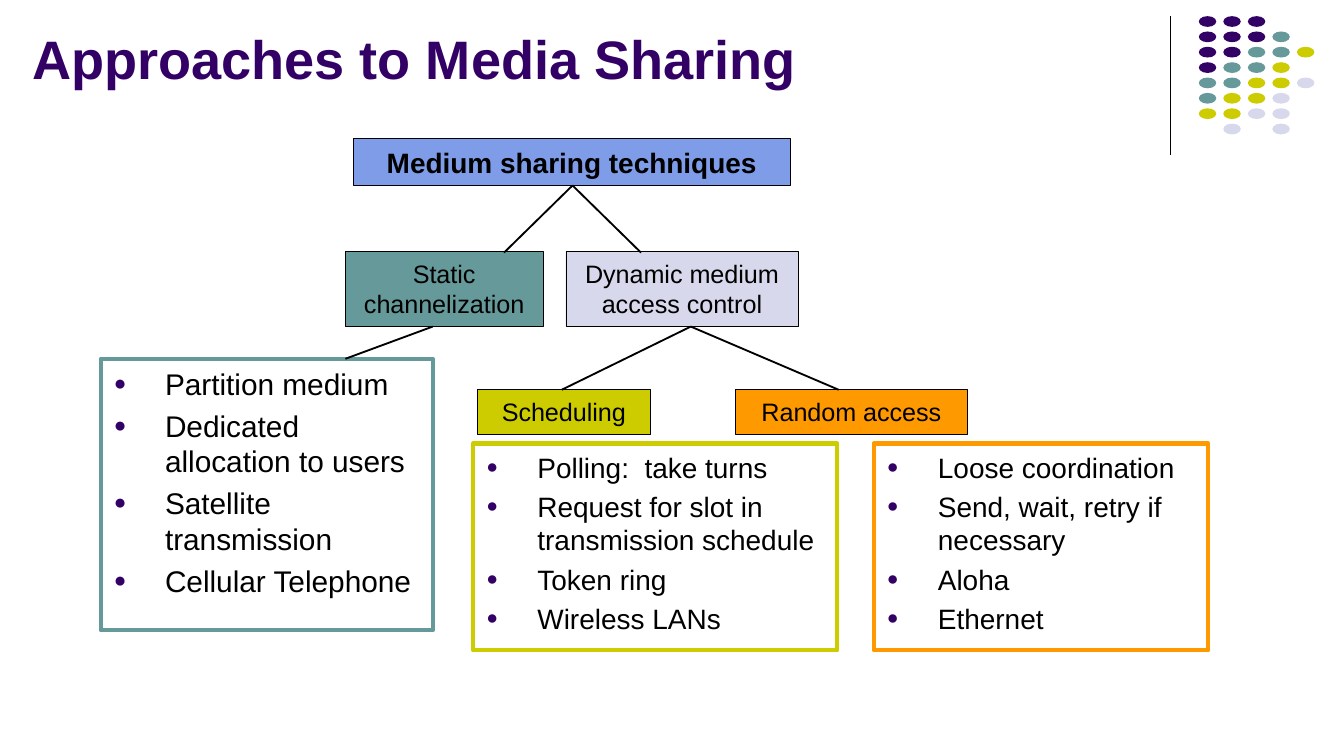
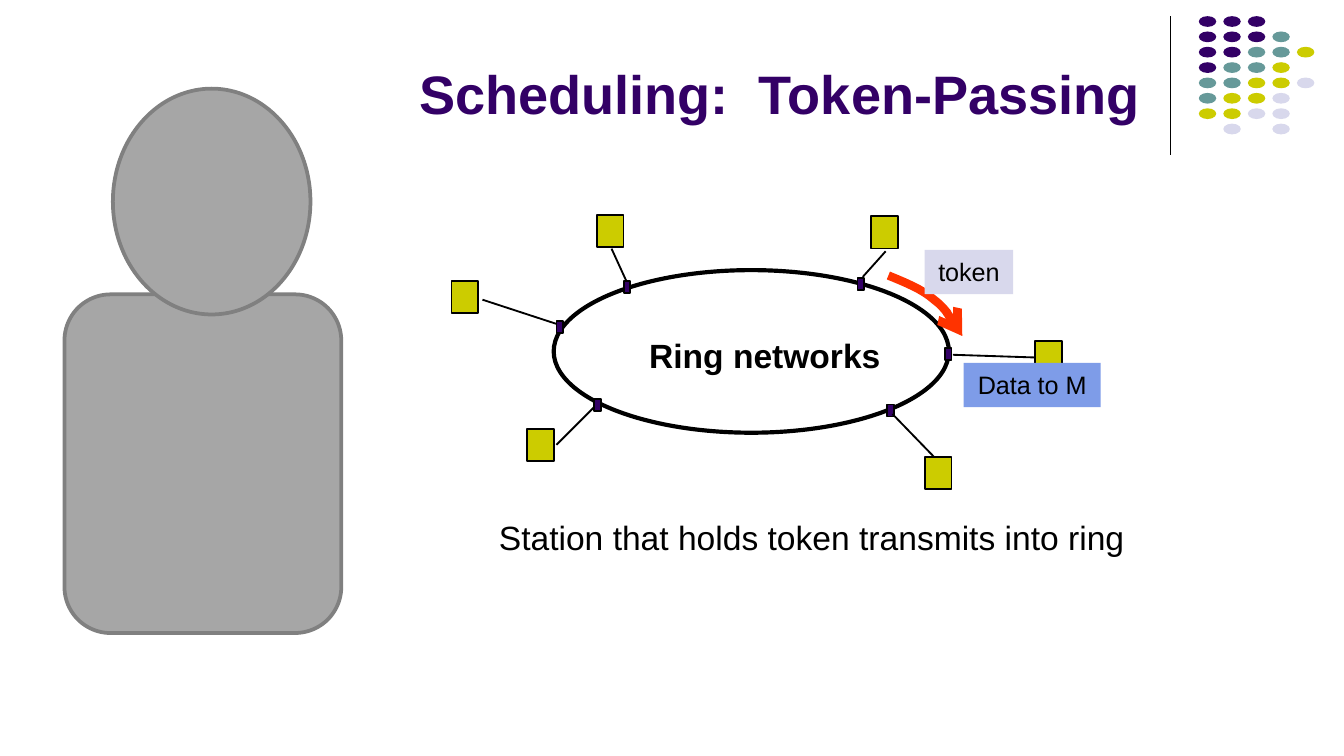
"""Build two slides on media sharing and token passing."""
import dataclasses

import lxml.etree
import pptx
import pptx.dml.color
import pptx.enum.shapes
import pptx.enum.text
import pptx.oxml.ns
import pptx.util

Inches = pptx.util.Inches
SHAPE = pptx.enum.shapes.MSO_SHAPE
ALIGN = pptx.enum.text.PP_ALIGN
ANCHOR = pptx.enum.text.MSO_ANCHOR


@dataclasses.dataclass(frozen=True)
class Theme:
    font: str = "Arial"
    purple: str = "330066"
    teal: str = "669999"
    olive: str = "CCCC00"
    lavender: str = "D8D8EC"
    blue: str = "7E9CE8"
    orange: str = "FF9900"
    red: str = "FF3300"
    black: str = "000000"
    gray: str = "A6A6A6"
    dark_gray: str = "808080"
    title: float = 29
    statement: float = 18
    large: float = 16
    medium: float = 15
    label: float = 13.5


THEME = Theme()

DOT_ROWS = ["PPP", "PPPT", "PPTTY", "PTTY", "TTYYL", "TYYL", "YYLL", ".L.L"]
DOT_COLORS = {"P": THEME.purple, "T": THEME.teal, "Y": THEME.olive, "L": THEME.lavender}
DOT_STEP_X = 0.73 / 4
DOT_STEP_Y = 0.8 / 7

TREE_TITLE = ("Approaches to Media Sharing", (0.14, 0.03, 8.25, 0.69))
TREE_TOPICS = [
    ("Medium sharing techniques", (2.63, 1.03, 3.25, 0.35), THEME.blue, THEME.medium, True),
    ("Static channelization", (2.57, 1.87, 1.47, 0.56), THEME.teal, THEME.label, False),
    ("Dynamic medium access control", (4.21, 1.87, 1.73, 0.56), THEME.lavender, THEME.label, False),
    ("Scheduling", (3.55, 2.9, 1.29, 0.33), THEME.olive, THEME.label, False),
    ("Random access", (5.47, 2.9, 1.73, 0.33), THEME.orange, THEME.label, False),
]
TREE_BRANCHES = [
    ((4.26, 1.38), [(3.75, 1.88), (4.77, 1.88)]),
    ((5.14, 2.43), [(4.18, 2.9), (6.24, 2.9)]),
    ((3.22, 2.43), [(2.57, 2.67)]),
]
TREE_PANELS = [
    (
        ["Partition medium", "Dedicated allocation to users", "Satellite transmission", "Cellular Telephone"],
        (0.75, 2.67, 2.47, 2.02), THEME.teal, THEME.large,
    ),
    (
        ["Polling:  take turns", "Request for slot in transmission schedule", "Token ring", "Wireless LANs"],
        (3.52, 3.3, 2.71, 1.54), THEME.olive, THEME.medium,
    ),
    (
        ["Loose coordination", "Send, wait, retry if necessary", "Aloha", "Ethernet"],
        (6.5, 3.3, 2.49, 1.54), THEME.orange, THEME.medium,
    ),
]

RING_TITLE = ("Scheduling:  Token-Passing", (3.02, 0.14, 5.63, 0.84))
RING_NAME = ("Ring networks", (4.76, 2.45, 1.89, 0.38))
RING_STATEMENT = ("Station that holds token transmits into ring", (3.59, 3.8, 4.9, 0.4))
RING_OUTLINE = (4.12, 2.01, 2.94, 1.21)
RING_STATIONS = [
    {"station": (3.36, 2.09), "node": (4.14, 2.39), "link": ((3.59, 2.23), (4.14, 2.41))},
    {"station": (4.44, 1.6), "node": (4.64, 2.09), "link": ((4.55, 1.85), (4.66, 2.09))},
    {"station": (6.48, 1.61), "node": (6.38, 2.07), "link": ((6.59, 1.87), (6.42, 2.06))},
    {"station": (7.7, 2.54), "node": (7.03, 2.59), "link": ((7.7, 2.66), (7.09, 2.64))},
    {"station": (6.88, 3.4), "node": (6.6, 3.01), "link": ((6.95, 3.4), (6.64, 3.08))},
    {"station": (3.92, 3.19), "node": (4.42, 2.97), "link": ((4.14, 3.31), (4.42, 3.03))},
]
STATION_SIZE = (0.2, 0.24)
NODE_SIZE = (0.05, 0.09)
TOKEN_CURVES = [
    [(6.61, 2.05), (6.73, 2.1), (6.86, 2.15), (6.95, 2.23)],
    [(6.95, 2.23), (7.05, 2.3), (7.13, 2.45), (7.16, 2.5)],
]
RING_LABELS = [
    ("token", (6.88, 1.86, 0.66, 0.33), THEME.lavender),
    ("Data to M", (7.17, 2.7, 1.02, 0.33), THEME.blue),
]
PERSON = [
    (SHAPE.ROUNDED_RECTANGLE, (0.48, 2.19, 2.06, 2.52)),
    (SHAPE.OVAL, (0.84, 0.66, 1.47, 1.68)),
]


def rgb(color):
    return pptx.dml.color.RGBColor.from_string(color)


def add_element(parent, tag, **attributes):
    element = lxml.etree.SubElement(parent, pptx.oxml.ns.qn(tag))
    for name, value in attributes.items():
        element.set(name, value)
    return element


def add_bullet(para):
    properties = para._p.get_or_add_pPr()
    properties.set("marL", str(Inches(0.38)))
    properties.set("indent", str(-Inches(0.38)))
    add_element(add_element(properties, "a:buClr"), "a:srgbClr", val=THEME.purple)
    add_element(properties, "a:buSzPct", val="70000")
    add_element(properties, "a:buFont", typeface=THEME.font)
    add_element(properties, "a:buChar", char="●")


def write_text(shape, *lines, size, color=THEME.black, bold=False, align=ALIGN.LEFT,
               anchor=ANCHOR.TOP, wrap=True, bullets=False, inset=(0.1, 0.05)):
    frame = shape.text_frame
    frame.word_wrap = wrap
    frame.vertical_anchor = anchor
    frame.margin_left = frame.margin_right = Inches(inset[0])
    frame.margin_top = frame.margin_bottom = Inches(inset[1])
    for index, line in enumerate(lines):
        para = frame.add_paragraph() if index else frame.paragraphs[0]
        para.alignment = align
        if bullets:
            add_bullet(para)
        if index:
            para.space_before = pptx.util.Pt(size * 0.2)
        span = para.add_run()
        span.text = line
        span.font.name = THEME.font
        span.font.size = pptx.util.Pt(size)
        span.font.bold = bold
        span.font.color.rgb = rgb(color)


def paint(shape, fill=None, line=None, width=1):
    shape.shadow.inherit = False
    if fill:
        shape.fill.solid()
        shape.fill.fore_color.rgb = rgb(fill)
    else:
        shape.fill.background()
    if line:
        shape.line.color.rgb = rgb(line)
        shape.line.width = pptx.util.Pt(width)
    else:
        shape.line.fill.background()
    return shape


def add_shape(page, kind, place, **style):
    return paint(page.shapes.add_shape(kind, *map(Inches, place)), **style)


def add_text(page, text, place, **style):
    write_text(page.shapes.add_textbox(*map(Inches, place)), text, **style)


def add_line(page, start, end, width=1):
    straight = pptx.enum.shapes.MSO_CONNECTOR.STRAIGHT
    line = page.shapes.add_connector(straight, *map(Inches, (*start, *end)))
    line.line.color.rgb = rgb(THEME.black)
    line.line.width = pptx.util.Pt(width)
    add_element(line._element.spPr, "a:effectLst")


def curve_points(curve, steps=8):
    for step in range(1, steps + 1):
        t = step / steps
        weights = ((1 - t) ** 3, 3 * t * (1 - t) ** 2, 3 * t * t * (1 - t), t ** 3)
        yield tuple(
            Inches(sum(weight * point[axis] for weight, point in zip(weights, curve)))
            for axis in (0, 1)
        )


def add_token_arrow(page):
    points = [point for curve in TOKEN_CURVES for point in curve_points(curve)]
    builder = page.shapes.build_freeform(*map(Inches, TOKEN_CURVES[0][0]))
    builder.add_line_segments(points, close=False)
    arrow = paint(builder.convert_to_shape(), line=THEME.red, width=4.5)
    add_element(arrow._element.spPr.get_or_add_ln(), "a:tailEnd", type="arrow")


def add_page(deck, title, place):
    page = deck.slides.add_slide(deck.slide_layouts[6])
    add_line(page, (8.71, 0.12), (8.71, 1.15), width=0.75)
    for row, codes in enumerate(DOT_ROWS):
        for column, code in enumerate(codes):
            if code in DOT_COLORS:
                dot = (8.92 + DOT_STEP_X * column, 0.12 + DOT_STEP_Y * row, 0.13, 0.08)
                add_shape(page, SHAPE.OVAL, dot, fill=DOT_COLORS[code])
    add_text(page, title, place, size=THEME.title, color=THEME.purple, bold=True, anchor=ANCHOR.BOTTOM)
    return page


def build_tree(deck):
    page = add_page(deck, *TREE_TITLE)
    for text, place, fill, size, bold in TREE_TOPICS:
        box = add_shape(page, SHAPE.RECTANGLE, place, fill=fill, line=THEME.black, width=0.25)
        write_text(box, text, size=size, bold=bold, align=ALIGN.CENTER)
    for lines, place, color, size in TREE_PANELS:
        box = add_shape(page, SHAPE.RECTANGLE, place, line=color, width=2.25)
        write_text(box, *lines, size=size, bullets=True)
    for start, ends in TREE_BRANCHES:
        for end in ends:
            add_line(page, start, end)


def build_ring(deck):
    page = add_page(deck, *RING_TITLE)
    add_text(page, *RING_NAME, size=THEME.statement, bold=True, wrap=False, inset=(0.07, 0.04))
    add_shape(page, SHAPE.OVAL, RING_OUTLINE, line=THEME.black, width=2.25)
    for member in RING_STATIONS:
        add_shape(page, SHAPE.RECTANGLE, member["station"] + STATION_SIZE, fill=THEME.olive, line=THEME.black)
        add_shape(page, SHAPE.RECTANGLE, member["node"] + NODE_SIZE, fill=THEME.purple, line=THEME.black)
        add_line(page, *member["link"])
    add_token_arrow(page)
    for text, place, fill in RING_LABELS:
        box = add_shape(page, SHAPE.RECTANGLE, place, fill=fill)
        write_text(box, text, size=THEME.label, align=ALIGN.CENTER, wrap=False)
    add_text(page, *RING_STATEMENT, size=THEME.statement, align=ALIGN.CENTER, wrap=False)
    for kind, place in PERSON:
        add_shape(page, kind, place, fill=THEME.gray, line=THEME.dark_gray, width=2)


def main():
    deck = pptx.Presentation()
    deck.slide_width = Inches(10)
    deck.slide_height = deck.slide_width * 9 // 16
    build_tree(deck)
    build_ring(deck)
    deck.save("out.pptx")


if __name__ == "__main__":
    main()
